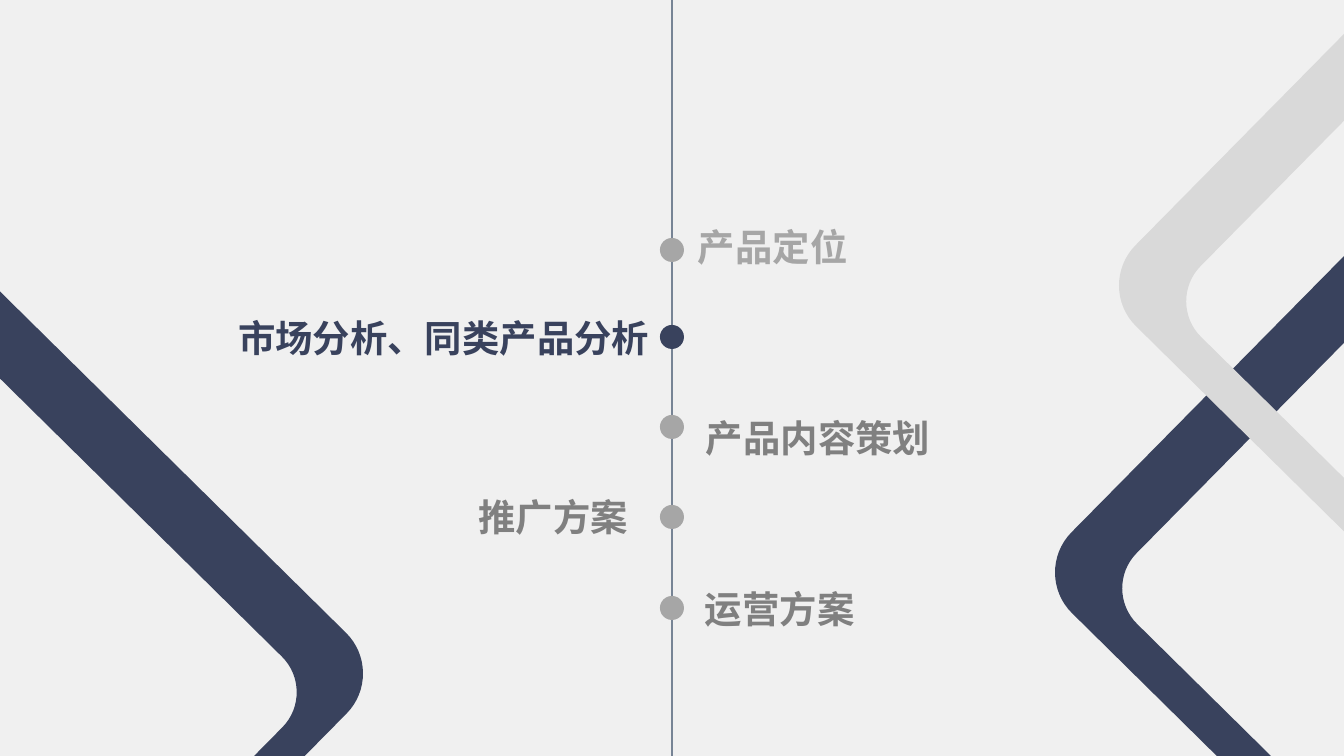
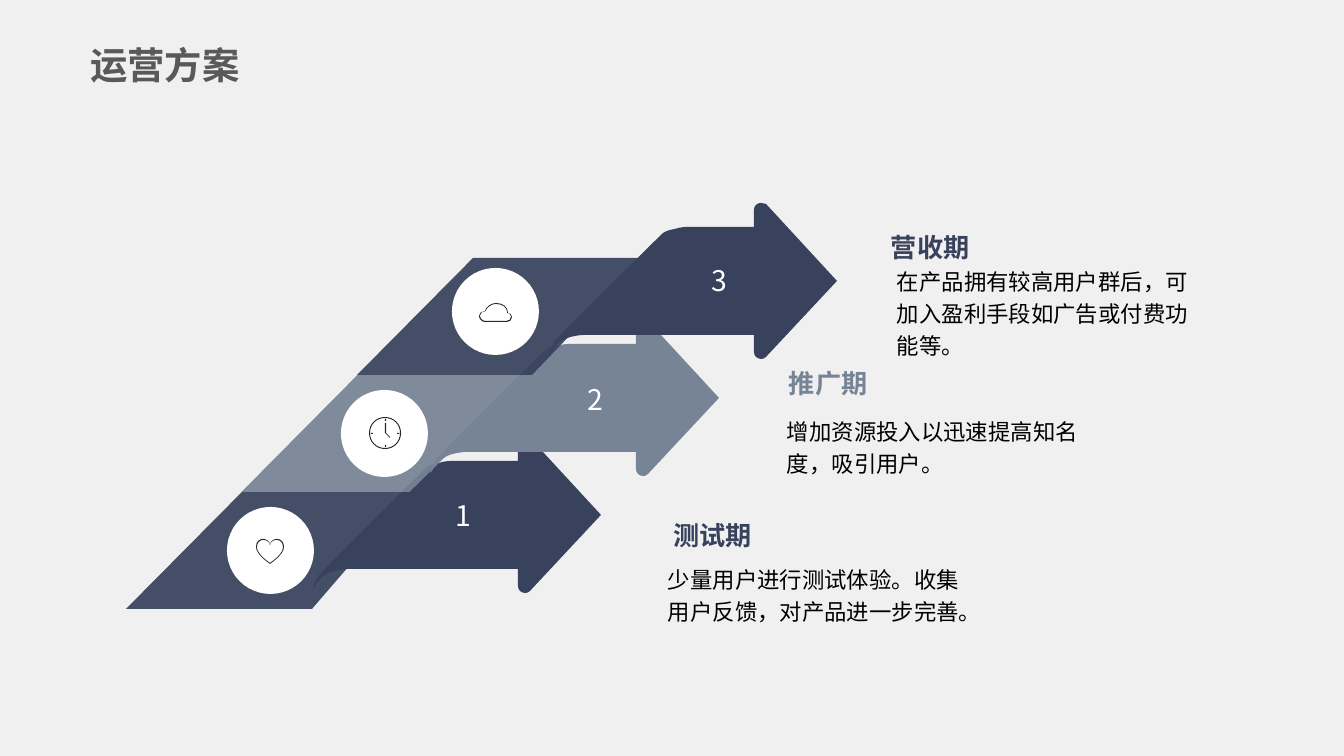
from lxml import etree
from pptx import Presentation
from pptx import util as u
from pptx.dml.color import RGBColor
from pptx.enum import shapes, text
from pptx.oxml.ns import qn

SCALE = 914400 / 134.4  # EMU per px
WIDTH, HEIGHT = 1344, 756
FONT = "Noto Sans CJK SC"
NAVY, SLATE, GREY, SILVER = "39425D", "778495", "808080", "A6A6A6"
PALE, BACK, WHITE, BLACK = "D9D9D9", "F0F0F0", "FFFFFF", "000000"
INK, HEADING = "282828", "595959"
LEFT, CENTER, RIGHT = text.PP_ALIGN.LEFT, text.PP_ALIGN.CENTER, text.PP_ALIGN.RIGHT

# ---- Agenda content: text, box, colour, alignment ----
CURRENT = ("市场分析、同类产品分析", (216, 315, 480, 27), NAVY, LEFT)
AGENDA = [
    ("产品定位", (676, 224, 285, 27), SILVER, LEFT),
    ("产品内容策划", (684, 415, 285, 27), GREY, LEFT),
    ("推广方案", (365, 494, 285, 52), GREY, RIGHT),
    ("运营方案", (683, 586, 285, 78), GREY, LEFT),
]
DOT = 24
DOTS = [(238, SILVER), (325, NAVY), (415, SILVER), (505, SILVER), (596, SILVER)]
FRAMES = [(-503, 308, NAVY), (1250, 40, NAVY), (1314, -247, PALE)]
FRAME_TURN = 44.6

# ---- Outlines: two numbers are a line, six a curve ----
HEART = [(14, 25), (11, 23, 0, 15, 0, 8), (0, 3, 3, 0, 7, 0),
         (11, 0, 14, 3, 14, 6), (14, 3, 17, 0, 21, 0),
         (25, 0, 28, 3, 28, 8), (28, 15, 17, 23, 14, 25)]
CLOUD = [(28, 19), (6, 19), (3, 19, 0, 16, 0, 13), (0, 10, 3, 8, 6, 8),
         (7, 4, 12, 0, 17, 0), (24, 0, 29, 4, 29, 10),
         (31, 10, 33, 12, 33, 14), (33, 17, 31, 19, 28, 19)]
DIAL = [(16, 0), (25, 0, 32, 7, 32, 16), (32, 25, 25, 32, 16, 32),
        (7, 32, 0, 25, 0, 16), (0, 7, 7, 0, 16, 0)]
HANDS = [(16, 6), (16, 16), (21, 21), (21, 20), (17, 16), (17, 6)]
ARROW = [
    (212, 156), (214, 156, 215, 156, 217, 154), (288, 78), (217, 1),
    (215, 0, 214, 0, 212, 0), (208, 0, 205, 3, 205, 7), (205, 24), (141, 24),
    (137, 24, 132, 24, 126, 26), (121, 27, 116, 28, 113, 31),
    (112, 32, 11, 132, 7, 137), (3, 142, 0, 149, 0, 153),
    (3, 146, 7, 141, 14, 137), (20, 134, 28, 132, 38, 132), (205, 132),
    (205, 149), (205, 153, 208, 156, 212, 156),
]


def hollow(outline):
    """A one px rim: the outline and a smaller one inside it."""
    width = max(seg[-2] for seg in outline)
    height = max(seg[-1] for seg in outline)
    ratios = ((width - 2) / width, (height - 2) / height)
    return [outline, [tuple(1 + v * ratios[i % 2] for i, v in enumerate(seg))
                      for seg in outline]]


def bar(x, y, w, h):
    return [(x, y), (x + w, y), (x + w, y + h), (x, y + h)]


CLOCK = [*hollow(DIAL), HANDS, bar(16, 2, 1, 2), bar(16, 28, 1, 2),
         bar(2, 16, 2, 1), bar(28, 16, 2, 1)]

# ---- Plan content, lowest step first ----
PLAN_TITLE = "运营方案"
STEPS = [
    dict(name="测试期", note="少量用户进行测试体验。收集用户反馈，对产品进一步完善。",
         color=NAVY, foot=186, number=(436, 496), disc=(227, 507),
         icon=hollow(HEART), icon_at=(256, 539), name_box=(673, 513, 164, 47),
         spacing=1.2, note_at=(655, 560)),
    dict(name="推广期", note="增加资源投入以迅速提高知名度，吸引用户。",
         color=SLATE, foot=168, number=(568, 380), disc=(341, 390),
         icon=CLOCK, icon_at=(369, 417), name_box=(789, 361, 136, 56),
         spacing=1.2, note_at=(774, 412)),
    dict(name="营收期", note="在产品拥有较高用户群后，可加入盈利手段如广告或付费功能等。",
         color=NAVY, foot=175, number=(692, 261), disc=(452, 268),
         icon=hollow(CLOUD), icon_at=(479, 303), name_box=(891, 228, 122, 38),
         spacing=1.1, note_at=(884, 278)),
]


def px(v):
    return u.Emu(round(v * SCALE))


def rgb(color):
    return RGBColor.from_string(color)


def paint(sp, fill, alpha=None):
    sp.shadow.inherit = False
    sp.fill.solid()
    sp.fill.fore_color.rgb = rgb(fill)
    sp.line.fill.background()
    if alpha:
        clr = sp._element.spPr.find(qn("a:solidFill"))[0]
        etree.SubElement(clr, qn("a:alpha")).set("val", str(alpha * 1000))


def write(sp, words, size, color, bold=False, align=LEFT, spacing=None,
          anchor=text.MSO_ANCHOR.TOP, wrap=False, insets=(0, 0)):
    tf = sp.text_frame
    side, top = map(px, insets)
    frame = dict(auto_size=text.MSO_AUTO_SIZE.NONE, word_wrap=wrap,
                 vertical_anchor=anchor, margin_left=side, margin_right=side,
                 margin_top=top, margin_bottom=top)
    for key, value in frame.items():
        setattr(tf, key, value)
    p = tf.paragraphs[0]
    p.alignment = align
    if spacing:
        p.line_spacing = spacing
    r = p.add_run()
    r.text = words
    for key, value in dict(size=u.Pt(size), bold=bold, name=FONT).items():
        setattr(r.font, key, value)
    r.font.color.rgb = rgb(color)
    etree.SubElement(r._r.get_or_add_rPr(), qn("a:ea")).set("typeface", FONT)


def add_text(s, box, words, size, color, **style):
    write(s.shapes.add_textbox(*map(px, box)), words, size, color, **style)


def set_title(s, box, words, color, **style):
    sp = s.shapes.title
    sp.left, sp.top, sp.width, sp.height = map(px, box)
    write(sp, words, 20, color, bold=True, **style)


def add_disc(s, left, top, size, color):
    paint(s.shapes.add_shape(shapes.MSO_SHAPE.OVAL,
                             *map(px, (left, top, size, size))), color)


def add_outline(s, contours, left=0, top=0):
    """Draw closed contours, then bend the segments that are curves."""
    fb = None
    for contour in contours:
        ends = [(px(left + seg[-2]), px(top + seg[-1])) for seg in contour]
        if fb is None:
            fb = s.shapes.build_freeform(*ends[0], scale=1.0)
        else:
            fb.move_to(*ends[0])
        fb.add_line_segments(ends[1:], close=True)
    sp = fb.convert_to_shape()
    lines = list(sp._element.spPr.iter(qn("a:lnTo")))
    segs = [seg for contour in contours for seg in contour[1:]]
    for line, seg in zip(lines, segs):
        if len(seg) == 6:
            curve = etree.Element(qn("a:cubicBezTo"))
            for x, y in zip(seg[::2], seg[1::2]):
                pt = etree.SubElement(curve, qn("a:pt"))
                pt.set("x", str(px(left + x) - sp.left))
                pt.set("y", str(px(top + y) - sp.top))
            line.getparent().replace(line, curve)
    return sp


def round_box(x0, y0, x1, y1, r):
    k = 0.45 * r  # distance from a corner to its curve handles
    return [(x0 + r, y0), (x1 - r, y0), (x1 - k, y0, x1, y0 + k, x1, y0 + r),
            (x1, y1 - r), (x1, y1 - k, x1 - k, y1, x1 - r, y1),
            (x0 + r, y1), (x0 + k, y1, x0, y1 - k, x0, y1 - r),
            (x0, y0 + r), (x0, y0 + k, x0 + k, y0, x0 + r, y0)]


def build_agenda(prs):
    s = prs.slides.add_slide(prs.slide_layouts[5])
    # Timeline
    line = s.shapes.add_connector(shapes.MSO_CONNECTOR.STRAIGHT,
                                  *map(px, (WIDTH / 2, 0, WIDTH / 2, HEIGHT)))
    line.line.color.rgb = rgb(SLATE)
    line.line.width = u.Pt(1.5)
    etree.SubElement(line._element.spPr, qn("a:effectLst"))
    for top, color in DOTS:
        add_disc(s, (WIDTH - DOT) / 2, top, DOT, color)
    # Tilted frames
    ring = [round_box(0, 0, 671, 898, 57), round_box(61, 62, 635, 860, 50)]
    for left, top, color in FRAMES:
        sp = add_outline(s, ring, left, top)
        sp.rotation = FRAME_TURN
        paint(sp, color)
    # Chapter names
    words, box, color, align = CURRENT
    set_title(s, box, words, color, align=align, insets=(22, 0))
    for words, box, color, align in AGENDA:
        add_text(s, box, words, 20, color, bold=True, align=align, insets=(22, 0))


def build_plan(prs):
    s = prs.slides.add_slide(prs.slide_layouts[5])
    middle = text.MSO_ANCHOR.MIDDLE
    set_title(s, (90, 26, 313, 77), PLAN_TITLE, HEADING, anchor=middle,
              wrap=True, insets=(0, 7))
    # Stairs of arrows
    for i, step in enumerate(STEPS):
        left, bottom = 126 + 115.5 * i, 609 - 117 * i
        panel = [(left + 287, bottom - 117), (left + 116, bottom - 117),
                 (left, bottom), (left + step["foot"], bottom)]
        paint(add_outline(s, [panel]), step["color"], alpha=93)
        paint(add_outline(s, [ARROW], 313 + 118 * i, 437 - 117 * i),
              step["color"])
        add_text(s, (*step["number"], 54, 39), str(i + 1), 15.2, WHITE,
                 align=CENTER, anchor=middle, wrap=True, insets=(4, 4))
        add_disc(s, *step["disc"], 87, WHITE)
        paint(add_outline(s, step["icon"], *step["icon_at"]), INK)
    # Step descriptions
    for step in reversed(STEPS):
        add_text(s, (*step["note_at"], 327, 66), step["note"], 12, BLACK,
                 spacing=1.2, anchor=middle, wrap=True, insets=(13, 7))
        add_text(s, step["name_box"], step["name"], 14, step["color"],
                 bold=True, spacing=step["spacing"])


def main():
    prs = Presentation()
    prs.slide_width, prs.slide_height = px(WIDTH), px(HEIGHT)
    fill = prs.slide_master.background.fill
    fill.solid()
    fill.fore_color.rgb = rgb(BACK)
    build_agenda(prs)
    build_plan(prs)
    prs.save("out.pptx")


if __name__ == "__main__":
    main()
